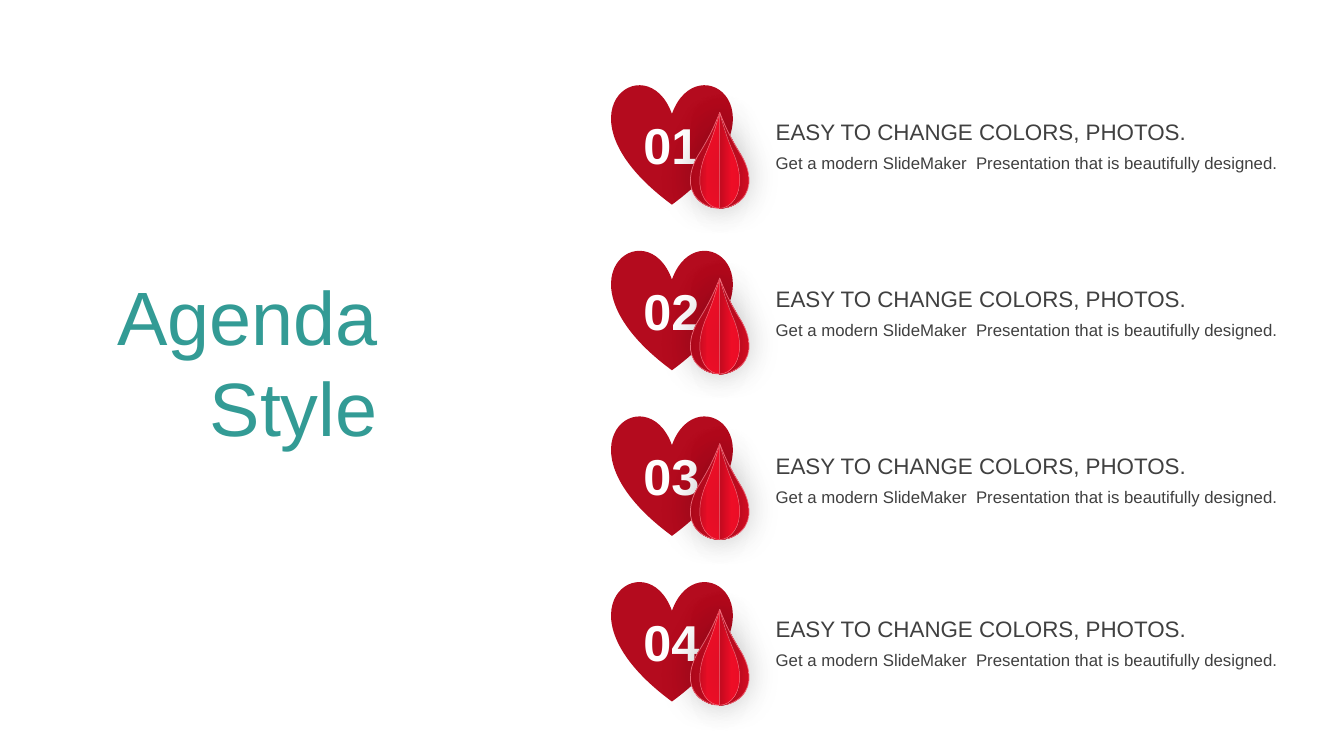
from pptx import Presentation
from pptx.dml.color import RGBColor
from pptx.enum.shapes import MSO_SHAPE
from pptx.enum.text import MSO_ANCHOR as ANCHOR, MSO_AUTO_SIZE as AUTO, PP_ALIGN as ALIGN
from pptx.oxml import parse_xml
from pptx.oxml.ns import nsdecls, qn
from pptx.util import Pt

COLORS = {
    "title": "339B95", "text": "404040", "number": "FFFFFF", "edge": "F66F7E",
    "dark": "B40B1E", "deep": "C00C20", "mid": "CC0D22",
    "warm": "D80E24", "bright": "F00F28", "shadow": "000000",
}
HEADING = "EASY TO CHANGE COLORS, PHOTOS."
DETAIL = "Get a modern SlideMaker  Presentation that is beautifully designed."

TITLE_STYLE = {"size": 54, "color": "title", "align": ALIGN.RIGHT, "anchor": ANCHOR.MIDDLE}
NUMBER_STYLE = {"size": 36, "color": "number", "align": ALIGN.CENTER,
                "anchor": ANCHOR.MIDDLE, "bold": True}
HEADING_STYLE = {"size": 16, "color": "text"}
DETAIL_STYLE = {"size": 12, "color": "text"}

HEART_TOP, HEART_STEP = 59.8, 118.3
TEXT_TOPS = (81, 200.4, 319.6, 435.7)

# Half a drop: Bezier curves (two controls and an end) from its foot up to its tip
DROP_X, DROP_WIDTH, DROP_HEIGHT = 514.1, 20.9, 68.4
DROP_CURVES = (
    ((5.8, 68.4), (11.5, 66.2), (15.8, 61.9)),
    ((23.8, 53.3), (21.6, 41.6), (15.8, 31.2)),
    ((9.4, 20.9), (5, 13), (0, 0)),
)
# Side, width factor, line width, gradient angle, stops (position, colour, opacity)
PETALS = (
    (-1, 1, 0.5, 0, ((0, "dark", 100), (25, "deep", 100), (100, "warm", 100))),
    (1, 1, 0.5, 180, ((0, "warm", 100), (75, "deep", 100), (100, "dark", 100))),
    (-1, 0.68, 0.35, 0, ((0, "mid", 100), (40, "bright", 100), (100, "bright", 100))),
    (1, 0.68, 0.35, 180, ((0, "bright", 90), (40, "bright", 100), (100, "deep", 100))),
)


def rgb(name):
    return RGBColor.from_string(COLORS[name])


def write(shape, text, style):
    tf = shape.text_frame
    frame = {"word_wrap": True, "auto_size": AUTO.SHAPE_TO_FIT_TEXT,
             "vertical_anchor": style.get("anchor", ANCHOR.TOP)}
    for name, value in frame.items():
        setattr(tf, name, value)
    p = tf.paragraphs[0]
    p.alignment = style.get("align", ALIGN.LEFT)
    r = p.add_run()
    r.text = text
    font = {"name": "Arial", "size": Pt(style["size"]), "bold": style.get("bold", False)}
    for name, value in font.items():
        setattr(r.font, name, value)
    r.font.color.rgb = rgb(style["color"])


def add_text(shapes, box, text, style):
    write(shapes.add_textbox(*map(Pt, box)), text, style)


def add_title(s):
    title = s.shapes.title
    for name, value in zip(("left", "top", "width", "height"), (10, 188.6, 267, 138.2)):
        setattr(title, name, Pt(value))
    write(title, "Agenda Style", TITLE_STYLE)


def color_xml(name, opacity):
    return (f'<a:srgbClr {nsdecls("a")} val="{COLORS[name]}">'
            f'<a:alpha val="{opacity * 1000}"/></a:srgbClr>')


def set_gradient(shape, angle, stops):
    shape.fill.gradient()
    shape.fill.gradient_angle = angle
    stop_list = shape._element.spPr.find(qn("a:gradFill")).find(qn("a:gsLst"))
    for old in list(stop_list):
        stop_list.remove(old)
    for position, name, opacity in stops:
        stop_list.append(parse_xml(f'<a:gs {nsdecls("a")} pos="{position * 1000}">'
                                   f'{color_xml(name, opacity)}</a:gs>'))


def set_soft_shadow(shape):
    shape.shadow.inherit = False
    effects = shape._element.spPr.find(qn("a:effectLst"))
    effects.append(parse_xml(
        f'<a:outerShdw {nsdecls("a")} blurRad="{Pt(25)}" dist="{Pt(1)}" dir="16200000" '
        f'algn="ctr" rotWithShape="0">{color_xml("shadow", 15)}</a:outerShdw>'))


def round_side(petal, side, factor):
    """Replace the corner at the petal's widest point with the drop's curves."""
    outline = next(petal._element.iter(qn("a:pathLst")))[0]
    corner = outline.findall(qn("a:lnTo"))[-1]
    center = 0 if side > 0 else DROP_WIDTH * factor
    for curve in DROP_CURVES:
        points = "".join(f'<a:pt x="{Pt(center + side * factor * x)}" y="{Pt(y)}"/>'
                         for x, y in curve)
        corner.addprevious(parse_xml(
            f'<a:cubicBezTo {nsdecls("a")}>{points}</a:cubicBezTo>'))
    outline.remove(corner)


def add_petal(shapes, top, side, factor, line_width, angle, stops):
    builder = shapes.build_freeform(Pt(DROP_X), Pt(top))
    foot = (Pt(DROP_X), Pt(top + DROP_HEIGHT))
    widest = (Pt(DROP_X + side * factor * DROP_WIDTH), Pt(top + DROP_HEIGHT / 2))
    builder.add_line_segments([foot, widest], close=True)
    petal = builder.convert_to_shape()
    round_side(petal, side, factor)
    set_gradient(petal, angle, stops)
    petal.line.color.rgb = rgb("edge")
    petal.line.width = Pt(line_width)
    set_soft_shadow(petal)


def add_badge(s, number, top):
    shapes = s.shapes.add_group_shape().shapes
    heart = shapes.add_shape(MSO_SHAPE.HEART, *map(Pt, (436.8, top, 86.4, 86.4)))
    heart.shadow.inherit = False
    heart.fill.solid()
    heart.fill.fore_color.rgb = rgb("dark")
    heart.line.fill.background()
    add_text(shapes, (450.4, top + 17.8, 58.3, 51.1), f"{number:02}", NUMBER_STYLE)
    for petal in PETALS:
        add_petal(shapes, top + 20.6, *petal)


def add_entry(s, top):
    shapes = s.shapes.add_group_shape().shapes
    add_text(shapes, (547, top + 24.7, 384.5, 21.6), DETAIL, DETAIL_STYLE)
    add_text(shapes, (547, top, 384.5, 26.6), HEADING, HEADING_STYLE)


def main():
    prs = Presentation()
    prs.slide_width, prs.slide_height = Pt(960), Pt(540)
    s = prs.slides.add_slide(prs.slide_layouts[5])
    add_title(s)
    # Numbered hearts, then the text beside them
    for i in range(len(TEXT_TOPS)):
        add_badge(s, i + 1, HEART_TOP + i * HEART_STEP)
    for top in TEXT_TOPS:
        add_entry(s, top)
    prs.save("out.pptx")


if __name__ == "__main__":
    main()
